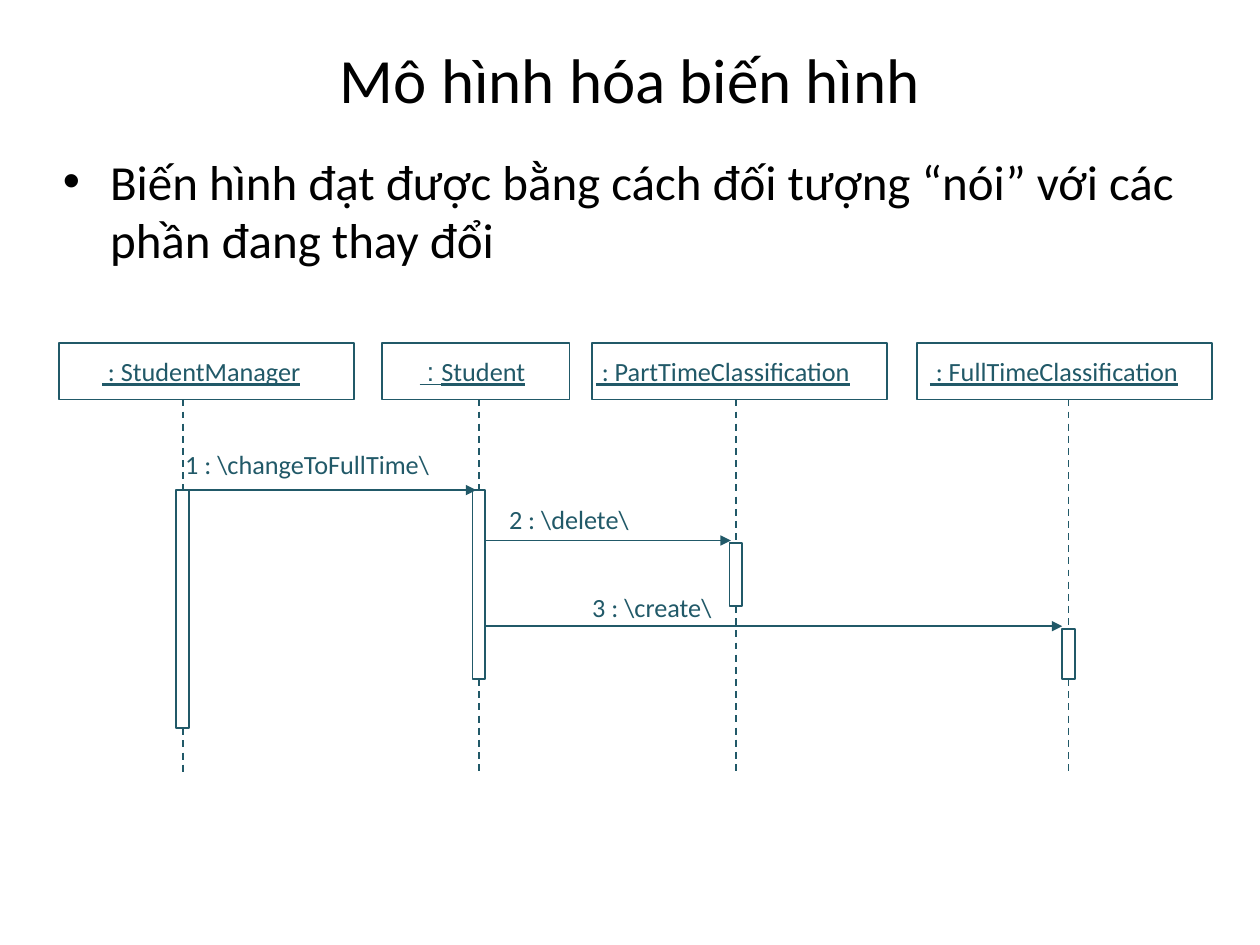
from dataclasses import dataclass
from typing import NamedTuple

from lxml import etree
from pptx import Presentation
from pptx import util as u
from pptx.dml.color import RGBColor
from pptx.enum import dml, shapes, text
from pptx.oxml import ns


@dataclass(frozen=True)
class Theme:
    ink: RGBColor = RGBColor(0, 0, 0)
    teal: RGBColor = RGBColor(0x21, 0x59, 0x68)
    font: str = "Calibri"
    alt: str = "Arial"
    title: int = 36
    body: int = 28
    label: int = 15
    line: float = 1


class Life(NamedTuple):
    name: str
    left: float
    wide: float
    text: float
    span: float
    mid: float
    top: float
    high: float
    lead: str


class Call(NamedTuple):
    name: str
    start: float
    end: float
    y: float
    left: float
    top: float
    span: float


T = Theme()
HEAD, TALL, FOOT, BAR = 195.84, 32.4, 441.36, 7.2

LIVES = [
    Life("StudentManager", 33.84, 168.48, 58.32, 114.48, 104.4, 280.08, 136.08, T.font),
    Life("Student", 218.16, 107.28, 239.76, 60.48, 273.6, 280.08, 108, T.alt),
    Life("PartTimeClassification", 338.4, 168.48, 340.56, 146.88, 420.48, 310.32, 36, T.font),
    Life("FullTimeClassification", 524.16, 168.48, 531.36, 143.28, 610.56, 359.28, 28.8, T.font),
]
CALLS = [
    Call("1 : \\changeToFullTime\\", 105.84, 272.16, 280.08, 105.84, 256.32, 140.4),
    Call("2 : \\delete\\", 277.2, 417.6, 308.88, 290.88, 287.28, 69.84),
    Call("3 : \\create\\", 277.92, 606.96, 357.84, 338.4, 337.68, 70.56),
]


def style(para, size: float, color: RGBColor) -> None:
    font = para.font
    font.name, font.size = T.font, u.Pt(size)
    font.color.rgb = color


def frame(slide, x: float, y: float, w: float, h: float):
    box = slide.shapes.add_textbox(u.Pt(x), u.Pt(y), u.Pt(w), u.Pt(h))
    box.text_frame.word_wrap = True
    return box.text_frame


def label(slide, x: float, y: float, w: float, *parts: str):
    body = frame(slide, x, y, w, 18)
    body.margin_left = body.margin_right = 0
    body.margin_top = body.margin_bottom = 0
    body.word_wrap = False
    body.auto_size = text.MSO_AUTO_SIZE.SHAPE_TO_FIT_TEXT
    para = body.paragraphs[0]
    for part in parts:
        para.add_run().text = part
    style(para, T.label, T.teal)
    return para


def rect(slide, x: float, y: float, w: float, h: float):
    box = slide.shapes.add_shape(
        shapes.MSO_SHAPE.RECTANGLE, u.Pt(x), u.Pt(y), u.Pt(w), u.Pt(h))
    box.shadow.inherit = False
    box.fill.background()
    box.line.color.rgb = T.teal
    box.line.width = u.Pt(T.line)
    return box


def line(slide, x1: float, y1: float, x2: float, y2: float):
    link = slide.shapes.add_connector(
        shapes.MSO_CONNECTOR.STRAIGHT, u.Pt(x1), u.Pt(y1), u.Pt(x2), u.Pt(y2))
    link.line.color.rgb = T.teal
    link.line.width = u.Pt(T.line)
    etree.SubElement(link._element.spPr, ns.qn("a:effectLst"))
    return link


def dash(slide, x: float, y1: float, y2: float):
    link = line(slide, x, y1, x, y2)
    link.line.dash_style = dml.MSO_LINE.DASH
    return link


def draw_life(slide, life: Life) -> None:
    rect(slide, life.left, HEAD, life.wide, TALL)
    para = label(slide, life.text, 203.04, life.span, " : ", life.name)
    para.font.underline = True
    if life.lead != T.font:
        para.runs[0].font.name = life.lead
    bar = rect(slide, life.mid - BAR / 2, life.top, BAR, life.high)
    dash(slide, life.mid, HEAD + TALL, life.top).end_connect(bar, 0)
    dash(slide, life.mid, life.top + life.high, FOOT).begin_connect(bar, 2)


def draw_call(slide, call: Call) -> None:
    link = line(slide, call.start, call.y, call.end, call.y)
    etree.SubElement(link.line._get_or_add_ln(), ns.qn("a:tailEnd"), type="triangle")
    label(slide, call.left, call.top, call.span, call.name)


def draw_text(slide) -> None:
    title = frame(slide, 5.76, 23.76, 708.48, 41.76)
    title.vertical_anchor = text.MSO_ANCHOR.MIDDLE
    para = title.paragraphs[0]
    para.text = "Mô hình hóa biến hình"
    para.alignment = text.PP_ALIGN.CENTER
    style(para, T.title, T.ink)

    para = frame(slide, 28.8, 82.8, 660.96, 226.08).paragraphs[0]
    para.text = "Biến hình đạt được bằng cách đối tượng “nói” với các phần đang thay đổi"
    props = para._p.get_or_add_pPr()
    props.set("marL", str(u.Pt(27)))
    props.set("indent", str(-u.Pt(27)))
    etree.SubElement(props, ns.qn("a:buFont"), typeface=T.alt)
    etree.SubElement(props, ns.qn("a:buChar"), char="•")
    style(para, T.body, T.ink)


def main() -> None:
    deck = Presentation()
    deck.slide_width, deck.slide_height = u.Pt(720), u.Pt(540)
    slide = deck.slides.add_slide(deck.slide_layouts[6])
    draw_text(slide)
    for life in LIVES:
        draw_life(slide, life)
    for call in CALLS:
        draw_call(slide, call)
    deck.save("out.pptx")


if __name__ == "__main__":
    main()
